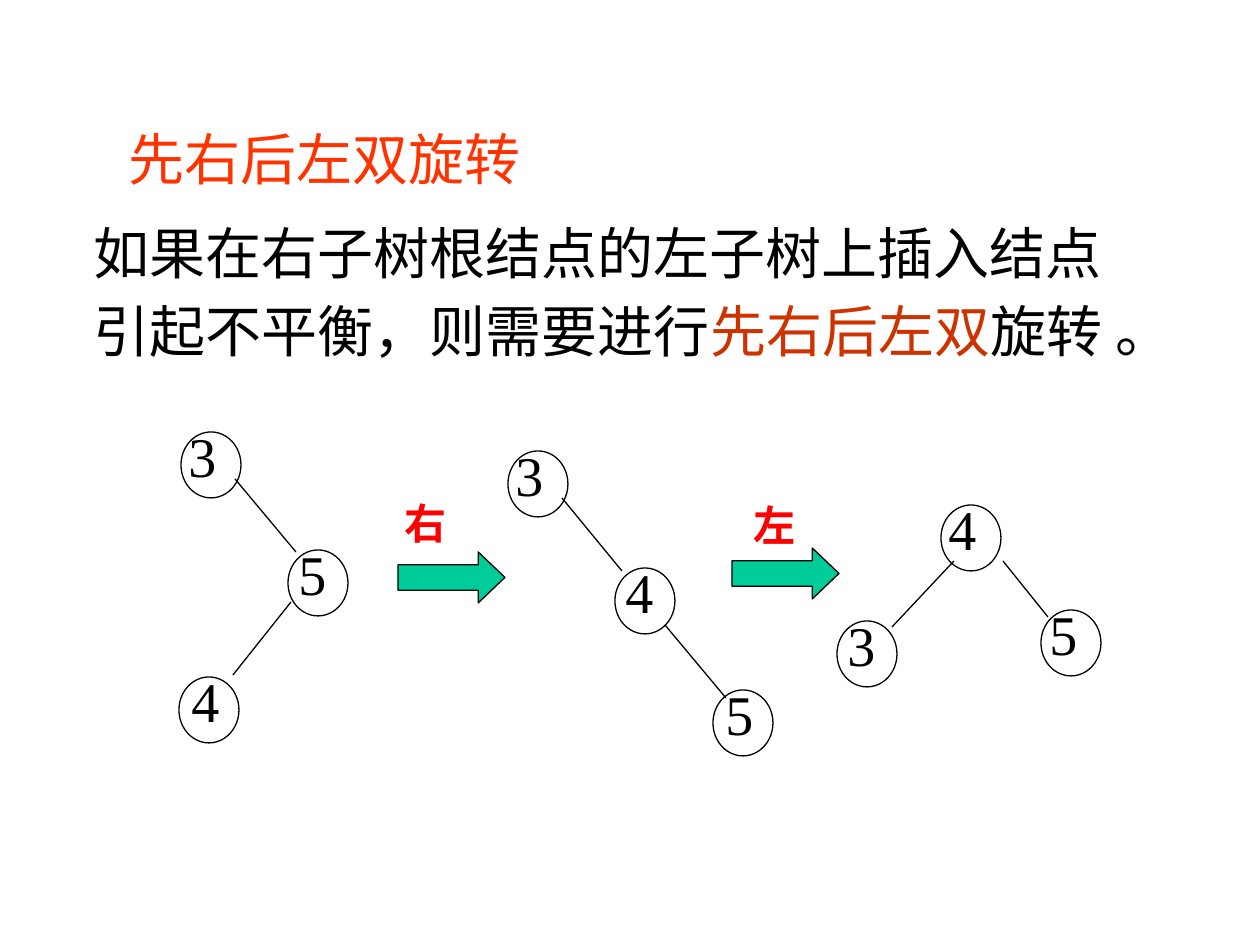
import pptx
import pptx.util
import pptx.dml.color
import pptx.enum.shapes
import pptx.enum.text
import lxml.etree
import pptx.oxml.ns

RGB = pptx.dml.color.RGBColor
SHAPE = pptx.enum.shapes.MSO_SHAPE
ALIGN = pptx.enum.text.PP_ALIGN
ANCHOR = pptx.enum.text.MSO_ANCHOR
qn = pptx.oxml.ns.qn

BLACK = RGB(0x00, 0x00, 0x00)
ORANGE = RGB(0xFF, 0x33, 0x00)
RUST = RGB(0xCC, 0x33, 0x00)
RED = RGB(0xFF, 0x00, 0x00)
GREEN = RGB(0x00, 0xCC, 0x99)
HAN = "Noto Sans CJK SC"
LATIN = "Times New Roman"
EMU_PER_PX = 914400 // 126


def px(*values):
    return [pptx.util.Emu(v * EMU_PER_PX) for v in values]


class Slide:
    def __init__(self, prs):
        self.s = prs.slides.add_slide(prs.slide_layouts[6])
        self.line_width = pptx.util.Pt(0.75)

    def text(self, box, paragraphs, size=32, font=HAN, bold=False,
             align=ALIGN.LEFT, anchor=ANCHOR.TOP, gap=0):
        """Each paragraph is a list of (text, colour) runs."""
        tf = self.s.shapes.add_textbox(*px(*box)).text_frame
        tf.word_wrap = True
        tf.vertical_anchor = anchor
        for i, runs in enumerate(paragraphs):
            p = tf.paragraphs[0] if i == 0 else tf.add_paragraph()
            p.alignment = align
            if i:
                p.space_before = pptx.util.Pt(gap)
            for words, color in runs:
                r = p.add_run()
                r.text = words
                r.font.size = pptx.util.Pt(size)
                r.font.name = font
                r.font.bold = bold
                r.font.color.rgb = color
                ea = lxml.etree.SubElement(r.font._element, qn("a:ea"))
                ea.set("typeface", HAN)

    def outline(self, kind, box, fill=None):
        sp = self.s.shapes.add_shape(kind, *px(*box))
        sp.shadow.inherit = False
        if fill is None:
            sp.fill.background()
        else:
            sp.fill.solid()
            sp.fill.fore_color.rgb = fill
        sp.line.color.rgb = BLACK
        sp.line.width = self.line_width
        return sp

    def node(self, x, y, digit, dx):
        self.outline(SHAPE.OVAL, (x, y, 60, 66))
        self.text((x + dx, y - 17, 150, 79), [[(digit, BLACK)]], font=LATIN)

    def edge(self, *ends):
        c = self.s.shapes.add_connector(
            pptx.enum.shapes.MSO_CONNECTOR.STRAIGHT, *px(*ends))
        c.line.color.rgb = BLACK
        c.line.width = self.line_width
        lxml.etree.SubElement(c._element.spPr, qn("a:effectLst"))

    def rotation(self, x, y, label, label_x, label_y):
        sp = self.outline(SHAPE.RIGHT_ARROW, (x, y, 107, 51), GREEN)
        sp.adjustments[0] = 0.5
        sp.adjustments[1] = 0.525
        self.text((label_x, label_y, 120, 72), [[(label, RED)]],
                  size=24, font=LATIN, bold=True)


def main():
    prs = pptx.Presentation()
    prs.slide_width, prs.slide_height = px(1260, 945)
    slide = Slide(prs)

    # Title and explanation
    slide.text((116, 122, 483, 73), [[("先右后左双旋转 ", ORANGE)]],
               align=ALIGN.JUSTIFY, anchor=ANCHOR.MIDDLE)
    slide.text((81, 212, 1140, 180), [
        [("如果在右子树根结点的左子树上插入结点", BLACK)],
        [("引起不平衡，则需要进行", BLACK), ("先右后左双", RUST),
         ("旋转 。", BLACK)],
    ], gap=6.4)

    # Tree nodes: left, top, digit, offset of the digit box
    for node in [
        (181, 432, "3", -5), (288, 550, "5", -2), (179, 677, "4", 0),
        (508, 451, "3", -5), (615, 568, "4", -2), (713, 690, "5", 0),
        (941, 505, "4", -5), (837, 621, "3", -2), (1041, 610, "5", -4),
    ]:
        slide.node(*node)

    # Tree edges
    for edge in [
        (235, 479, 296, 552), (291, 602, 233, 675),
        (562, 498, 622, 571), (665, 625, 726, 698),
        (954, 561, 892, 627), (1003, 561, 1048, 617),
    ]:
        slide.edge(*edge)

    # Rotation steps
    slide.rotation(398, 552, "右", 392, 491)
    slide.rotation(732, 548, "左", 741, 493)

    prs.save("out.pptx")


if __name__ == "__main__":
    main()
